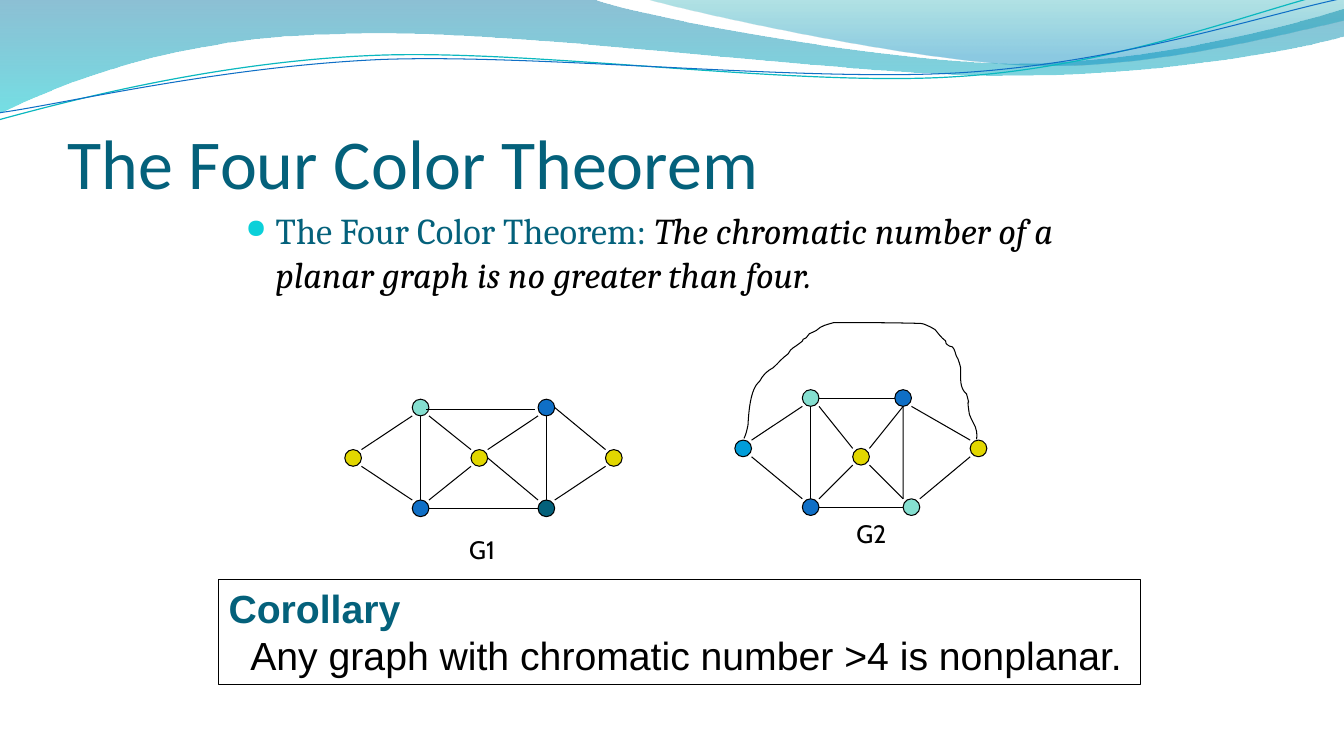
from dataclasses import dataclass
from pptx import Presentation
from pptx.dml.color import RGBColor
from pptx.enum.shapes import MSO_CONNECTOR, MSO_SHAPE
from pptx.enum.text import MSO_ANCHOR, PP_ALIGN
from pptx.oxml.ns import qn
from pptx.util import Cm, Pt
from lxml.etree import SubElement


@dataclass(frozen=True)
class Theme:
    teal: str = "04617B"
    black: str = "000000"
    white: str = "FFFFFF"
    bullet: str = "0BD0D9"
    mint: str = "85DFD0"
    blue: str = "0F6FC6"
    sky: str = "009DD9"
    yellow: str = "E2D700"
    wave_cyan: str = "0AB8BF"
    band_wide: tuple = ((0, "0074A1", 45), (1, "00C6CF", 55))
    band_right: tuple = ((0, "00A1A9", 30), (0.8, "008BBF", 45))
    title_size: float = 50
    body_size: float = 26
    corollary_size: float = 28
    label_size: float = 18
    hairline: float = 0.75


theme = Theme()
prs = Presentation()
prs.slide_width, prs.slide_height = Cm(33.87), Cm(19.05)
slide = prs.slides.add_slide(prs.slide_layouts[6])
shapes = slide.shapes


def add_curve(chains, color=None, width=theme.hairline):
    """Draw chains of cubic curves; without a line colour the outline is closed."""
    (x, y), *rest = [(Cm(px), Cm(py)) for chain in chains for px, py in chain]
    builder = shapes.build_freeform(x, y)
    builder.add_line_segments(rest, close=color is None)
    curve = builder.convert_to_shape()
    curve.shadow.inherit = False
    segments = list(curve._element.iter(qn("a:moveTo"), qn("a:lnTo")))
    for chain in chains:
        own, segments = segments[1:len(chain)], segments[len(chain):]
        for first, second, end in zip(own[::3], own[1::3], own[2::3]):
            first.tag = qn("a:cubicBezTo")
            for extra in (second, end):
                first.append(extra[0])
                extra.getparent().remove(extra)
    if color is None:
        curve.line.fill.background()
    else:
        curve.fill.background()
        curve.line.color.rgb = RGBColor.from_string(color)
        curve.line.width = Pt(width)
    return curve


def add_run(paragraph, text, size, font, color, bold=False, italic=False):
    run = paragraph.add_run()
    run.text = text
    run.font.size, run.font.name = Pt(size), font
    run.font.bold, run.font.italic = bold, italic
    run.font.color.rgb = RGBColor.from_string(color)


# Header bands
bands = [
    (theme.band_wide, [
        [(0, 0)],
        [(14.91, -0.03), (16.1, 0.43), (22.48, 1.6), (25.68, 1.6),
         (28.91, 1.6), (32.46, 0.66), (33.86, 0.23)],
        [(33.91, 0.91), (33.3, 1.12), (29.46, 1.93), (25.25, 1.91),
         (21.06, 1.91), (12.93, 0.71), (8.71, 0.86),
         (4.37, 0.91), (1.55, 2.11), (-0.03, 2.87)]]),
    (theme.band_right, [
        [(16.23, -0.03), (17.25, 0.28), (23.09, 1.57), (26.04, 1.65),
         (28.98, 1.75), (32.56, 0.81), (33.86, 0.53)],
        [(33.86, 0)]]),
]
for gradient, outline in bands:
    band = add_curve(outline)
    band.fill.gradient()
    band.fill.gradient_angle = 270
    for stop, (position, color, _) in zip(band.fill.gradient_stops, gradient):
        stop.position = position
        stop.color.rgb = RGBColor.from_string(color)
    for node, (_, _, opacity) in zip(band._element.iter(qn("a:srgbClr")), gradient):
        SubElement(node, qn("a:alpha"), val=str(opacity * 1000))

# Header waves
add_curve([[(-0.03, 3.02), (1.63, 2.57), (5.36, 1.57), (9.37, 1.4),
            (13.39, 1.22), (20.07, 2.21), (24.13, 1.93),
            (28.19, 1.68), (31.8, 0.2), (33.81, -0.25)]], theme.wave_cyan, 0.85)
add_curve([[(0, 2.84), (1.6, 2.62), (5.54, 1.68), (9.6, 1.5),
            (13.64, 1.35), (20.22, 2.08), (24.26, 1.83),
            (28.32, 1.57), (31.88, 0.36), (33.88, -0.05)]], theme.blue)

# Title
title = shapes.add_textbox(Cm(1.7), Cm(1.96), Cm(30.48), Cm(3.18)).text_frame
title.word_wrap = True
title.vertical_anchor = MSO_ANCHOR.BOTTOM
title.margin_left = title.margin_right = title.margin_bottom = 0
add_run(title.paragraphs[0], "The Four Color Theorem", theme.title_size, "Calibri", theme.teal)

# Theorem statement
theorem = shapes.add_textbox(Cm(5.94), Cm(5.13), Cm(21.59), Cm(4.42)).text_frame
theorem.word_wrap = True
statement = theorem.paragraphs[0]
bullet = statement._p.get_or_add_pPr()
bullet.set("marL", str(Cm(0.76)))
bullet.set("indent", str(-Cm(0.76)))
SubElement(SubElement(bullet, qn("a:buClr")), qn("a:srgbClr"), val=theme.bullet)
SubElement(bullet, qn("a:buSzPct"), val="73000")
SubElement(bullet, qn("a:buChar"), char="●")
add_run(statement, "The Four Color Theorem: ", theme.body_size, "Cambria", theme.teal)
add_run(statement, "The chromatic number of a planar graph is no greater than four.",
        theme.body_size, "Cambria", theme.black, italic=True)

# Graphs: vertices (centre, colour), edge ends off the corner rule (in radii), label
radius = 0.21
edges = [("nw", "mid"), ("mid", "ne"), ("mid", "se"), ("sw", "mid"), ("nw", "sw"),
         ("nw", "ne"), ("ne", "se"), ("sw", "se"), ("west", "nw"), ("west", "sw"),
         ("ne", "east"), ("se", "east")]
graphs = [
    ({"west": (8.9, 11.54, theme.yellow), "nw": (10.6, 10.27, theme.mint),
      "sw": (10.6, 12.81, theme.blue), "mid": (12.08, 11.54, theme.yellow),
      "ne": (13.77, 10.27, theme.blue), "se": (13.77, 12.81, theme.teal),
      "east": (15.47, 11.54, theme.yellow)},
     {("mid", "se"): (1, 0, -1, -1), ("ne", "east"): (1, 0, -1, -1),
      ("nw", "ne"): (0.7, 0.2, -1.4, 0.2)},
     ("G1", 11.73, 13.53)),
    ({"west": (18.73, 11.3, theme.sky), "nw": (20.43, 10.03, theme.mint),
      "sw": (20.43, 12.78, theme.blue), "mid": (21.7, 11.51, theme.yellow),
      "ne": (22.76, 10.03, theme.blue), "se": (22.97, 12.78, theme.mint),
      "east": (24.66, 11.3, theme.yellow)},
     {("mid", "ne"): (1, -1, 0, 1), ("ne", "se"): (0, 1, -1, -1)},
     ("G2", 21.54, 13.13)),
]
for vertices, special_ends, (name, label_x, label_y) in graphs:
    for x, y, color in vertices.values():
        vertex = shapes.add_shape(MSO_SHAPE.OVAL, Cm(x - radius), Cm(y - radius),
                                  Cm(2 * radius), Cm(2 * radius))
        vertex.shadow.inherit = False
        vertex.fill.solid()
        vertex.fill.fore_color.rgb = RGBColor.from_string(color)
        vertex.line.color.rgb = RGBColor.from_string(theme.black)
        vertex.line.width = Pt(theme.hairline)
    for start, end in edges:
        (x1, y1, _), (x2, y2, _) = vertices[start], vertices[end]
        sx, sy = (x2 > x1) - (x2 < x1), (y2 > y1) - (y2 < y1)
        ax, ay, bx, by = special_ends.get((start, end), (sx, sy, -sx, -sy))
        edge = shapes.add_connector(
            MSO_CONNECTOR.STRAIGHT, Cm(x1 + ax * radius), Cm(y1 + ay * radius),
            Cm(x2 + bx * radius), Cm(y2 + by * radius))
        edge.line.color.rgb = RGBColor.from_string(theme.black)
        edge.line.width = Pt(theme.hairline)
        SubElement(edge._element.spPr, qn("a:effectLst"))
    label = shapes.add_shape(MSO_SHAPE.RECTANGLE, Cm(label_x), Cm(label_y), Cm(0.84), Cm(0.64))
    label.shadow.inherit = False
    label.fill.solid()
    label.fill.fore_color.rgb = RGBColor.from_string(theme.white)
    label.line.color.rgb = RGBColor.from_string(theme.white)
    label.line.width = Pt(theme.hairline)
    label.text_frame.word_wrap = False
    label.text_frame.vertical_anchor = MSO_ANCHOR.MIDDLE
    caption = label.text_frame.paragraphs[0]
    caption.alignment = PP_ALIGN.CENTER
    add_run(caption, name, theme.label_size, "Cabin", theme.black)

# Outer edge of G2
add_curve([[
    (18.75, 11.05), (18.8, 10.95), (18.82, 10.85), (18.85, 10.72),
    (18.87, 10.41), (18.9, 9.8), (19.15, 9.6), (19.23, 9.45), (19.33, 9.35), (19.48, 9.27),
    (19.63, 9.14), (19.71, 9.02), (19.86, 8.92), (19.94, 8.76), (20.02, 8.76), (20.14, 8.66),
    (20.35, 8.51), (20.12, 8.61), (20.32, 8.51), (20.35, 8.48), (20.37, 8.43), (20.4, 8.41),
    (20.47, 8.38), (20.57, 8.33), (20.57, 8.33), (20.7, 8.2), (20.85, 8.18), (21.01, 8.13),
    (21.74, 8.13), (22.45, 8.13), (23.19, 8.15), (23.32, 8.15), (23.57, 8.31), (23.57, 8.31),
    (23.65, 8.41), (23.72, 8.51), (23.83, 8.59), (23.83, 8.64), (23.85, 8.69), (23.88, 8.69),
    (23.9, 8.74), (23.95, 8.71), (24, 8.74), (24.05, 8.79), (24.08, 8.89), (24.1, 8.97),
    (24.16, 9.04), (24.21, 9.27), (24.21, 9.27), (24.21, 9.55), (24.18, 9.78), (24.36, 9.93),
    (24.49, 10.44), (24.33, 9.8), (24.43, 10.44), (24.49, 10.62), (24.59, 10.72), (24.61, 10.87),
    (24.64, 10.95), (24.61, 11.02), (24.61, 11.07)]], theme.black)

# Corollary
corollary = shapes.add_shape(MSO_SHAPE.RECTANGLE, Cm(5.51), Cm(14.61), Cm(23.24), Cm(2.64))
corollary.shadow.inherit = False
corollary.fill.background()
corollary.line.color.rgb = RGBColor.from_string(theme.black)
corollary.line.width = Pt(theme.hairline)
corollary.text_frame.word_wrap = True
corollary.text_frame.vertical_anchor = MSO_ANCHOR.TOP
claim = corollary.text_frame.paragraphs[0]
claim.alignment = PP_ALIGN.LEFT
hanging = claim._p.get_or_add_pPr()
hanging.set("marL", str(Cm(0.55)))
hanging.set("indent", str(-Cm(0.55)))
add_run(claim, "Corollary", theme.corollary_size, "Arial", theme.teal, bold=True)
claim.add_line_break()
add_run(claim, "Any graph with chromatic number >4 is nonplanar.",
        theme.corollary_size, "Arial", theme.black)

prs.save("out.pptx")
